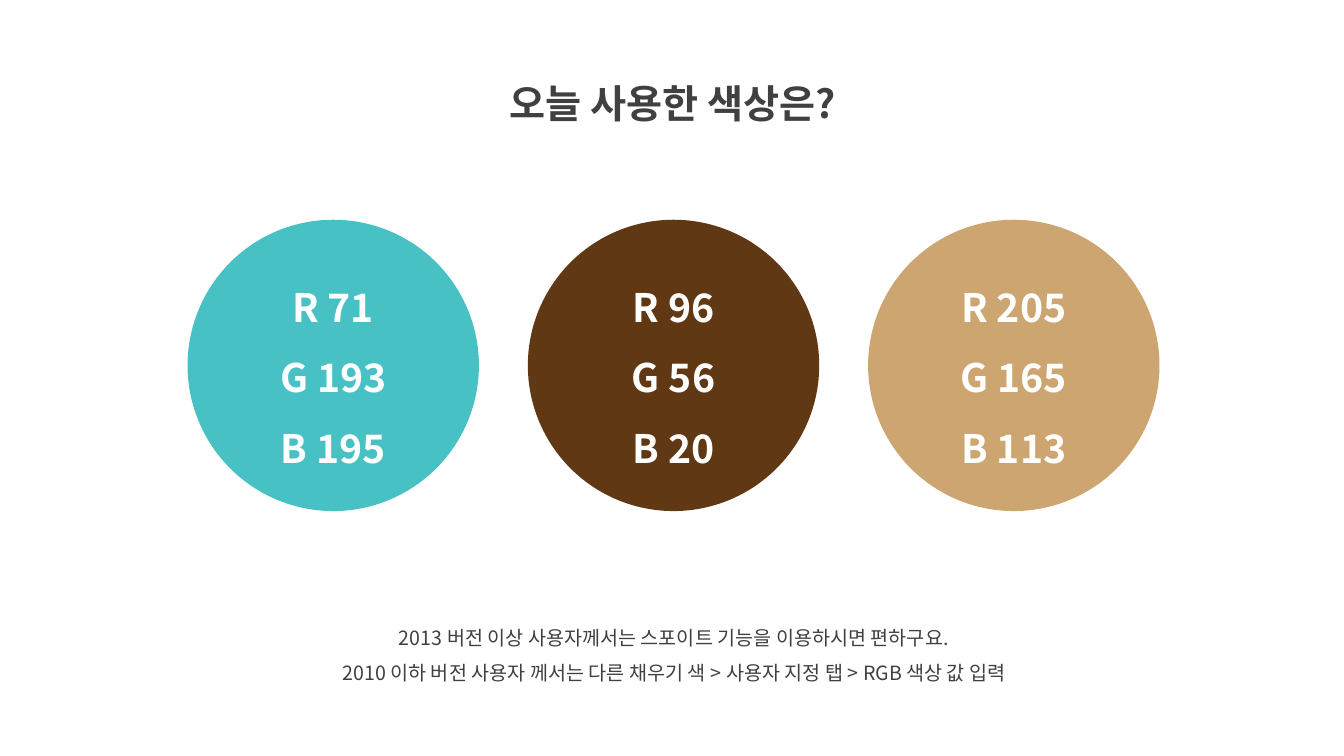
from dataclasses import dataclass

from lxml import etree
from pptx import Presentation
from pptx.dml.color import RGBColor
from pptx.enum import shapes, text
from pptx.oxml.ns import qn
from pptx.util import Inches, Pt

QUESTION = "오늘 사용한 색상은?"
TIPS = [
    "2013 버전 이상 사용자께서는 스포이트 기능을 이용하시면 편하구요.",
    "2010 이하 버전 사용자 께서는 다른 채우기 색 > 사용자 지정 탭 > RGB 색상 값 입력",
]
SWATCHES = [(71, 193, 195), (96, 56, 20), (205, 165, 113)]


@dataclass(frozen=True)
class Theme:
    font: str = "Noto Sans CJK KR"
    ink: RGBColor = RGBColor(64, 64, 64)
    paper: RGBColor = RGBColor(255, 255, 255)
    large: int = 28
    small: int = 14
    line_spacing: float = 1.5


THEME = Theme()
DIAMETER = 2.89
SWATCH_TOP = 2.18
FIRST_LEFT, LAST_LEFT = 1.86, 8.61


def write(frame, lines, size, color, bold, anchor):
    frame.text = "\n".join(lines)
    frame.word_wrap = True
    frame.vertical_anchor = anchor
    for paragraph in frame.paragraphs:
        paragraph.alignment = text.PP_ALIGN.CENTER
        paragraph.line_spacing = THEME.line_spacing
        font = paragraph.font
        font.name = THEME.font
        font.size = Pt(size)
        font.bold = bold
        font.color.rgb = color
        defaults = paragraph._p.pPr.find(qn("a:defRPr"))
        etree.SubElement(defaults, qn("a:ea")).set("typeface", THEME.font)


def add_swatch(slide, left, rgb):
    swatch = slide.shapes.add_shape(
        shapes.MSO_SHAPE.OVAL,
        Inches(left), Inches(SWATCH_TOP), Inches(DIAMETER), Inches(DIAMETER),
    )
    swatch.shadow.inherit = False
    swatch.fill.solid()
    swatch.fill.fore_color.rgb = RGBColor(*rgb)
    swatch.line.fill.background()
    lines = [f"{channel} {value}" for channel, value in zip("RGB", rgb)]
    write(swatch.text_frame, lines, THEME.large, THEME.paper, True,
          text.MSO_ANCHOR.MIDDLE)


def main():
    deck = Presentation()
    deck.slide_width, deck.slide_height = Inches(13.33), Inches(7.5)
    slide = deck.slides.add_slide(deck.slide_layouts.get_by_name("Title Only"))

    question = slide.shapes.title
    question.left, question.top = Inches(4.36), Inches(0.5)
    question.width, question.height = Inches(4.63), Inches(0.72)
    write(question.text_frame, [QUESTION], THEME.large, THEME.ink, True,
          text.MSO_ANCHOR.TOP)
    question.text_frame.auto_size = text.MSO_AUTO_SIZE.SHAPE_TO_FIT_TEXT

    tips = slide.shapes.add_textbox(
        Inches(2.69), Inches(6.04), Inches(7.99), Inches(0.81))
    write(tips.text_frame, TIPS, THEME.small, THEME.ink, False,
          text.MSO_ANCHOR.TOP)
    tips.text_frame.auto_size = text.MSO_AUTO_SIZE.SHAPE_TO_FIT_TEXT

    pitch = (LAST_LEFT - FIRST_LEFT) / (len(SWATCHES) - 1)
    for index, rgb in enumerate(SWATCHES):
        add_swatch(slide, FIRST_LEFT + index * pitch, rgb)

    deck.save("out.pptx")


if __name__ == "__main__":
    main()
